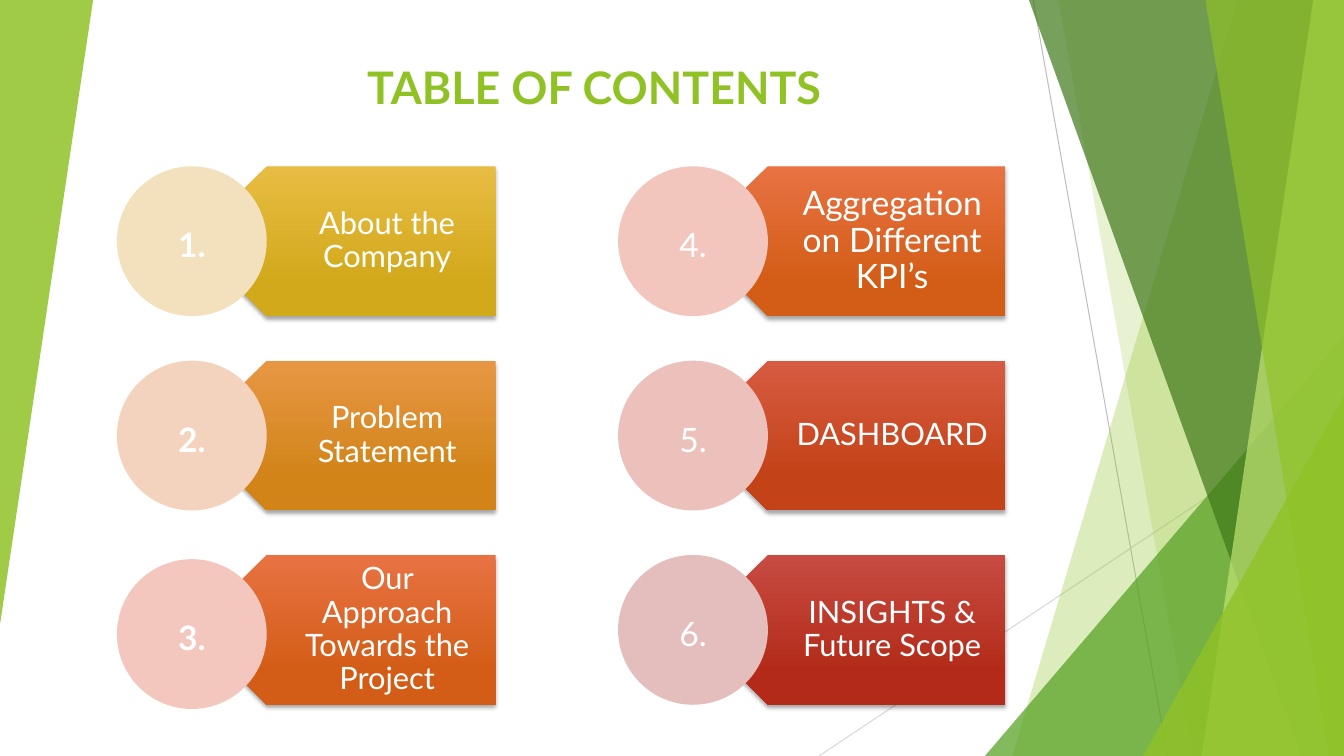
import dataclasses
import typing

import lxml.etree
import pptx
import pptx.dml.color
import pptx.enum.dml
import pptx.enum.shapes
import pptx.enum.text
import pptx.oxml.ns
import pptx.util

Pt = pptx.util.Pt
SHAPES = pptx.enum.shapes.MSO_SHAPE
MIDDLE = pptx.enum.text.MSO_ANCHOR.MIDDLE
BOTTOM = pptx.enum.text.MSO_ANCHOR.BOTTOM
CENTER = pptx.enum.text.PP_ALIGN.CENTER

WIDTH, HEIGHT = 960, 540
FONT = "Lato"
COLORS = {
    "lime": "90C226",
    "pale lime": "C0E474",
    "green": "54A021",
    "dark green": "3F7819",
    "gray": "BFBFBF",
    "light gray": "D9D9D9",
    "white": "FFFFFF",
    "black": "000000",
}

CIRCLE = 107
COLUMN_LEFTS = (83.5, 441.5)
CARD_RIGHTS = (354, 718)
CARD_INSETS = (74, 73.5)
FIRST_ROW, ROW_PITCH = 118.8, 138.8


@dataclasses.dataclass
class Ray:
    start: tuple[float, float]
    end: tuple[float, float]
    color: str


@dataclasses.dataclass
class Band:
    """A strip from a slanted left edge to the right side of the slide."""
    top_x: float
    bottom_x: float
    color: str
    opacity: int


@dataclasses.dataclass
class Wedge:
    left: float
    top: float
    width: float
    height: float
    color: str
    opacity: int
    rotation: int = 0


@dataclasses.dataclass
class Topic:
    text: str
    gradient: tuple[str, str]
    circle_color: str
    size: float = 22
    circle_shift: float = 0


RAYS = [
    Ray((738, 0), (834, 540), "gray"),
    Ray((960, 290), (585, 540), "light gray"),
]
PANELS = [
    Band(884, 723, "lime", 30),
    Band(756, 852, "lime", 20),
    Wedge(703.5, 240, 256.5, 300, "green", 72),
    Band(735, 929.5, "dark green", 70),
    Band(938, 858.5, "pale lime", 70),
    Band(861, 949, "lime", 65),
    Wedge(816.5, 283, 143.5, 257, "lime", 80),
    Wedge(0, 0, 66.5, 446, "lime", 85, rotation=180),
]
COLUMNS = [
    [
        Topic("About the Company", ("E7BC43", "D2A91B"), "F3E0BD"),
        Topic("Problem Statement", ("E79743", "D28419"), "F3D3BD"),
        Topic("Our Approach Towards the Project", ("E87242", "D35D16"), "F3C7BD",
              circle_shift=3),
    ],
    [
        Topic("Aggregation on Different KPI’s", ("E87242", "D35D16"), "F3C6BD", size=24),
        Topic("DASHBOARD", ("D75B42", "C34217"), "ECC1BC"),
        Topic("INSIGHTS & Future Scope", ("C74B42", "B32B18"), "E4BEBD"),
    ],
]


def rgb(color: str) -> pptx.dml.color.RGBColor:
    return pptx.dml.color.RGBColor.from_string(COLORS.get(color, color))


def add_element(parent: typing.Any, tag: str, **attributes: str) -> typing.Any:
    element = lxml.etree.SubElement(parent, pptx.oxml.ns.qn(tag))
    for name, value in attributes.items():
        element.set(name, value)
    return element


def set_values(target: typing.Any, values: dict[str, typing.Any]) -> None:
    for name, value in values.items():
        setattr(target, name, value)


def fill_solid(shape: typing.Any, color: str, opacity: int = 100) -> None:
    shape.shadow.inherit = False
    shape.line.fill.background()
    shape.fill.solid()
    shape.fill.fore_color.rgb = rgb(color)
    if opacity < 100:
        for node in shape.fill._xPr.iter(pptx.oxml.ns.qn("a:srgbClr")):
            add_element(node, "a:alpha", val=str(opacity * 1000))


def write_text(shape: typing.Any, text: str, font: dict[str, typing.Any],
               frame: dict[str, typing.Any], color: str = "white",
               spacing: float = 1.0) -> None:
    set_values(shape.text_frame, {"word_wrap": True, "vertical_anchor": MIDDLE} | frame)
    para = shape.text_frame.paragraphs[0]
    set_values(para, {"alignment": CENTER, "line_spacing": spacing})
    span = para.add_run()
    span.text = text
    set_values(span.font, {"name": FONT} | font)
    span.font.color.rgb = rgb(color)


def add_polygon(page: typing.Any, points: list[tuple[float, float]]) -> typing.Any:
    corners = [(Pt(x), Pt(y)) for x, y in points]
    builder = page.shapes.build_freeform(*corners[0])
    builder.add_line_segments(corners[1:], close=True)
    return builder.convert_to_shape()


def add_ray(page: typing.Any, ray: Ray) -> None:
    line = page.shapes.add_connector(pptx.enum.shapes.MSO_CONNECTOR.STRAIGHT,
                                     *map(Pt, ray.start + ray.end))
    line.line.width = Pt(0.75)
    line.line.color.rgb = rgb(ray.color)
    add_element(line._element.spPr, "a:effectLst")


def add_panel(page: typing.Any, panel: Band | Wedge) -> None:
    if isinstance(panel, Band):
        shape = add_polygon(page, [(panel.top_x, 0), (WIDTH, 0), (WIDTH, HEIGHT),
                                   (panel.bottom_x, HEIGHT)])
    else:
        shape = page.shapes.add_shape(
            SHAPES.ISOSCELES_TRIANGLE, Pt(panel.left), Pt(panel.top),
            Pt(panel.width), Pt(panel.height))
        shape.adjustments[0] = 1
        shape.rotation = panel.rotation
    fill_solid(shape, panel.color, panel.opacity)


def add_card(page: typing.Any, topic: Topic, left: float, top: float,
             right: float, inset: float) -> None:
    """Draw the label whose point lies under the centre of its circle."""
    tip, shoulder, bottom = left + CIRCLE / 2, left + CIRCLE, top + CIRCLE
    card = add_polygon(page, [(right, bottom), (shoulder, bottom), (tip, top + CIRCLE / 2),
                              (shoulder, top), (right, top)])
    card.line.fill.background()
    card.fill.gradient()
    card.fill.gradient_angle = 270
    for stop, color, position in zip(card.fill.gradient_stops, topic.gradient, (0, 0.78)):
        stop.color.rgb = rgb(color)
        stop.position = position
    card.shadow.inherit = False
    effects = card._element.spPr.find(pptx.oxml.ns.qn("a:effectLst"))
    shadow = add_element(effects, "a:outerShdw", blurRad=str(Pt(3)), dist=str(Pt(2)),
                         dir="5400000", rotWithShape="0")
    shade = add_element(shadow, "a:srgbClr", val=COLORS["black"])
    add_element(shade, "a:alpha", val="35000")
    write_text(card, topic.text, {"size": Pt(topic.size)},
               {"margin_left": Pt(inset), "margin_right": Pt(12),
                "margin_top": Pt(6.5), "margin_bottom": Pt(6.5)}, spacing=0.9)


def add_number(page: typing.Any, number: int, topic: Topic, left: float,
               top: float, bold: bool) -> None:
    circle = page.shapes.add_shape(SHAPES.OVAL, Pt(left), Pt(top + topic.circle_shift),
                                   Pt(CIRCLE), Pt(CIRCLE))
    fill_solid(circle, topic.circle_color)
    write_text(circle, f"{number}.", {"size": Pt(24), "bold": bold},
               {"margin_top": Pt(8), "margin_bottom": Pt(3.6)})


def main() -> None:
    deck = pptx.Presentation()
    set_values(deck, {"slide_width": Pt(WIDTH), "slide_height": Pt(HEIGHT)})
    page = deck.slides.add_slide(deck.slide_layouts[5])
    for ray in RAYS:
        add_ray(page, ray)
    for panel in PANELS:
        add_panel(page, panel)

    title = page.shapes.title
    set_values(title, {"left": Pt(119), "top": Pt(24), "width": Pt(611), "height": Pt(60.5)})
    write_text(title, "TABLE OF CONTENTS", {"size": Pt(32), "bold": True},
               {"vertical_anchor": BOTTOM}, color="lime")

    number = 0
    for column, topics in enumerate(COLUMNS):
        left = COLUMN_LEFTS[column]
        for row, topic in enumerate(topics):
            number += 1
            top = FIRST_ROW + row * ROW_PITCH
            add_card(page, topic, left, top, CARD_RIGHTS[column], CARD_INSETS[column])
            add_number(page, number, topic, left, top, bold=column == 0)
    deck.save("out.pptx")


if __name__ == "__main__":
    main()
